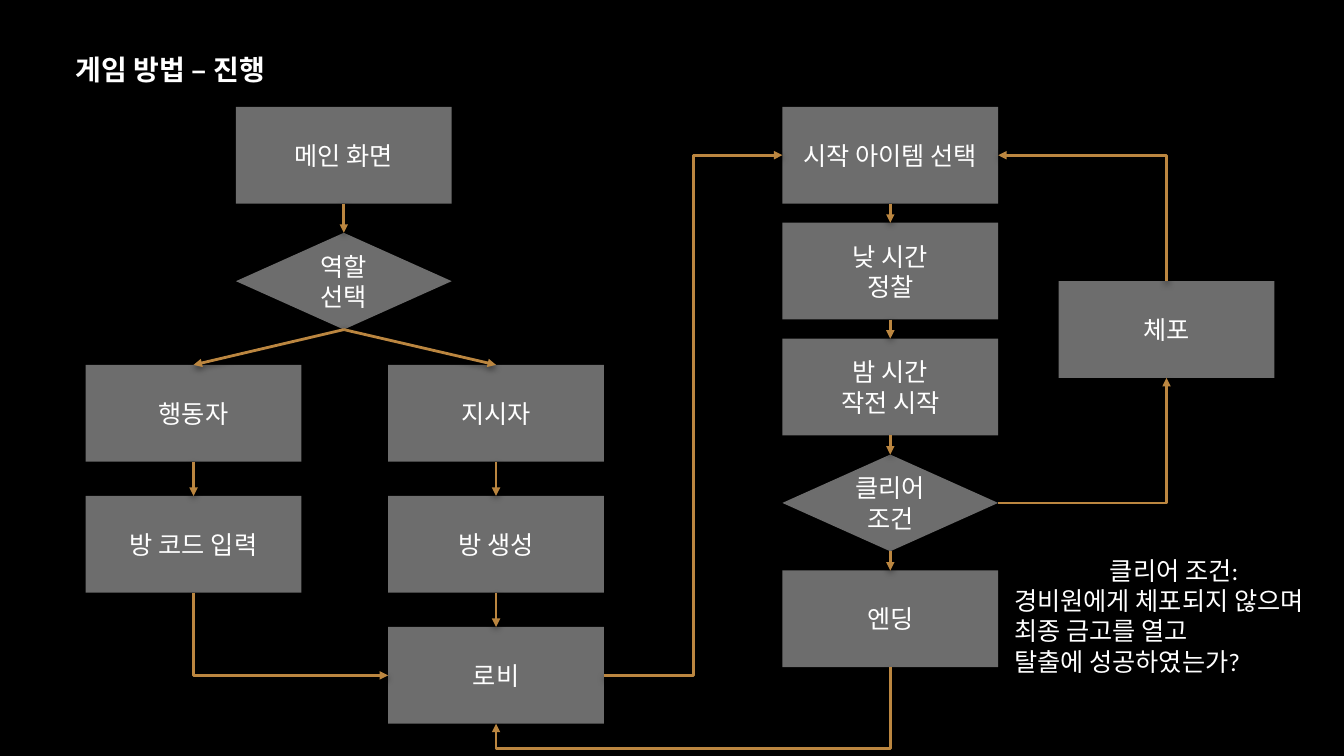
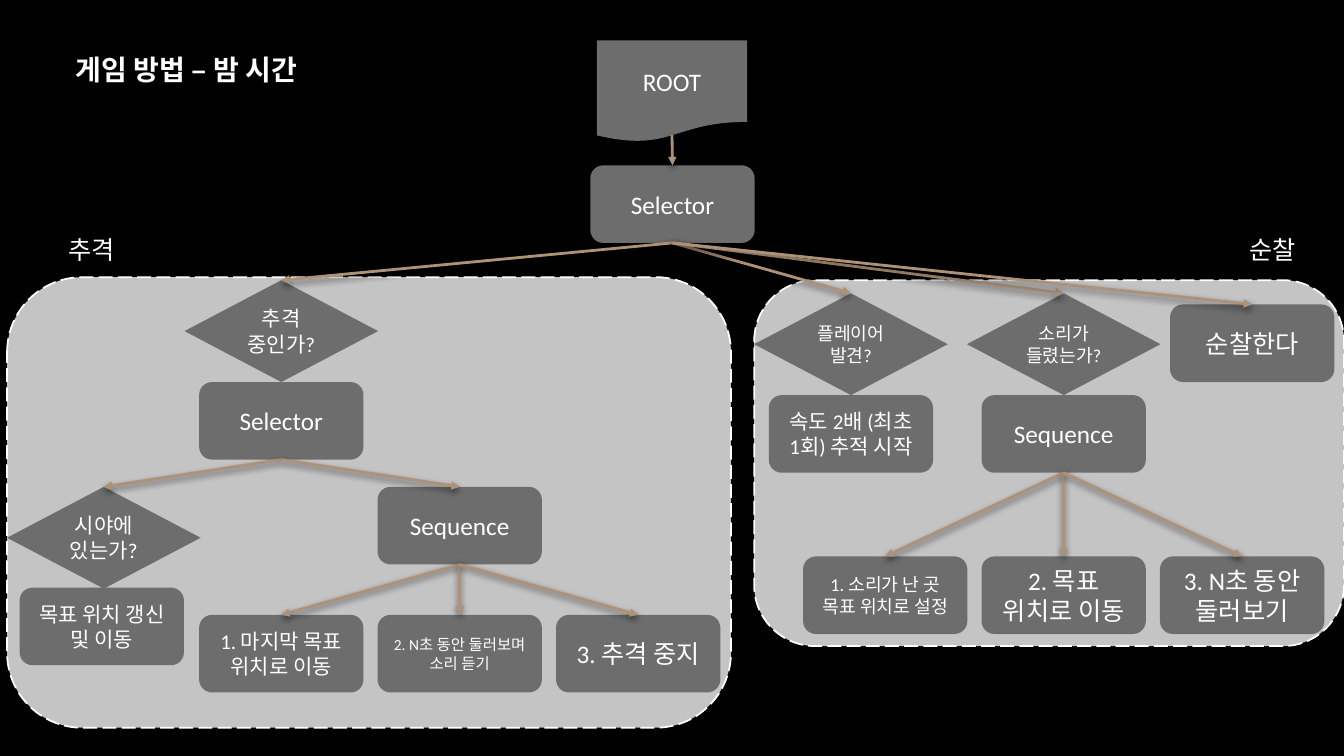
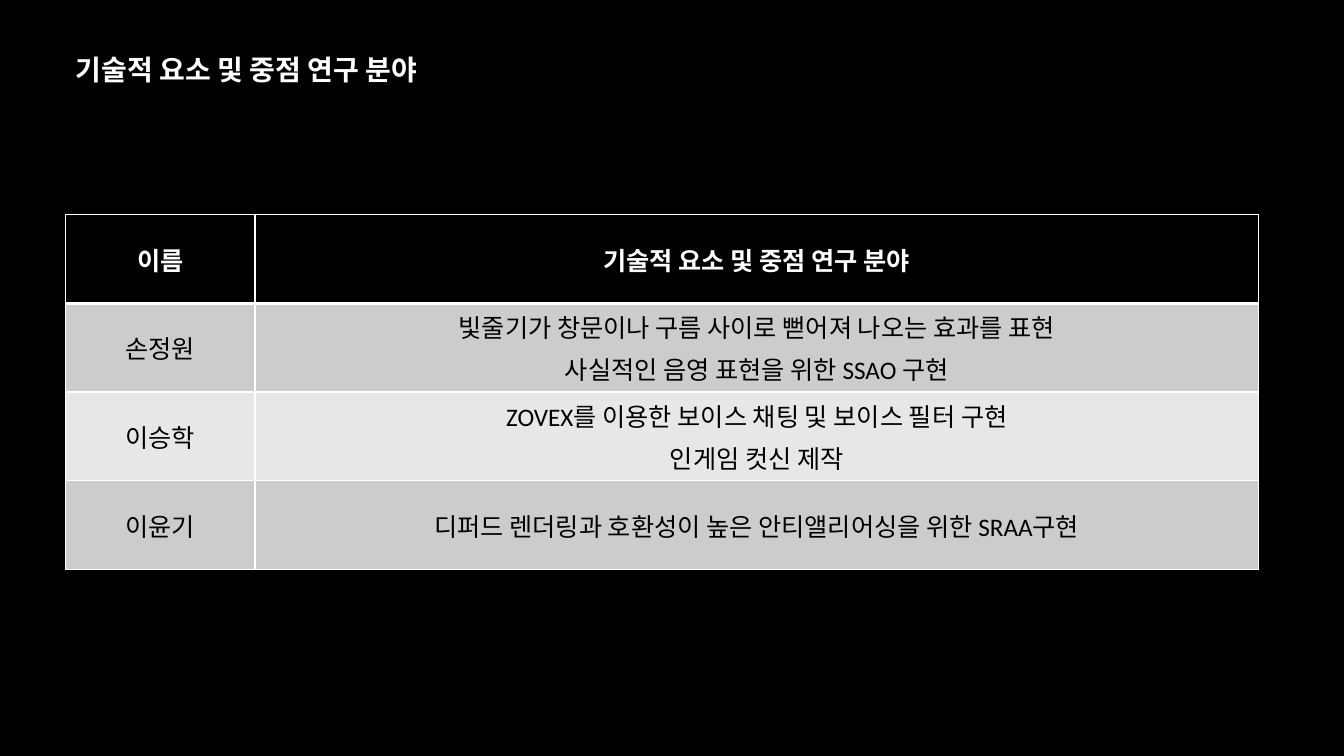
from lxml import etree
from pptx import Presentation
from pptx.dml.color import RGBColor
from pptx.enum import dml, shapes, text
from pptx.oxml import ns, parse_xml
from pptx.util import Inches, Pt

BLACK = RGBColor(0x00, 0x00, 0x00)
WHITE = RGBColor(0xFF, 0xFF, 0xFF)
NODE_GRAY = RGBColor(0x6D, 0x6D, 0x6D)
PANEL_GRAY = RGBColor(0xC4, 0xC4, 0xC4)
ROW_DARK = RGBColor(0xCC, 0xCC, 0xCC)
ROW_LIGHT = RGBColor(0xE7, 0xE7, 0xE7)
GOLD = RGBColor(0xBB, 0x86, 0x40)
TAN = RGBColor(0xAD, 0x92, 0x77)

KIND = shapes.MSO_SHAPE
PROCESS = KIND.FLOWCHART_ALTERNATE_PROCESS
DECISION = KIND.FLOWCHART_DECISION
CENTER = text.PP_ALIGN.CENTER
LEFT = text.PP_ALIGN.LEFT
MIDDLE = text.MSO_ANCHOR.MIDDLE
TOP = text.MSO_ANCHOR.TOP

STEP_SIZE = (2.14, 0.96)
PROCESS_SIZE = (1.63, 0.77)
DECISION_SIZE = (1.92, 1.01)

SHADOW = (
    f'<a:effectLst {ns.nsdecls("a")}>'
    '<a:outerShdw blurRad="63500" dist="25400" dir="5400000" rotWithShape="0">'
    '<a:srgbClr val="000000"><a:alpha val="60000"/></a:srgbClr>'
    '</a:outerShdw></a:effectLst>'
)


def write(frame, content, size=18, color=WHITE, bold=False, font="Calibri",
          align=CENTER, gap=0):
    for index, line in enumerate(content.split("\n")):
        paragraph = frame.paragraphs[0] if index == 0 else frame.add_paragraph()
        paragraph.text = line
        paragraph.alignment = align
        if index and gap:
            paragraph.space_before = Pt(gap)
        paragraph.font.size = Pt(size)
        paragraph.font.name = font
        paragraph.font.bold = bold
        paragraph.font.color.rgb = color


def new_slide(prs, title, title_width):
    slide = prs.slides.add_slide(prs.slide_layouts[5])
    heading = slide.shapes.title
    heading.left, heading.top = Inches(0.65), Inches(0.47)
    heading.width, heading.height = Inches(title_width), Inches(0.44)
    frame = heading.text_frame
    frame.auto_size = text.MSO_AUTO_SIZE.NONE
    frame.vertical_anchor = TOP
    write(frame, title, size=20, bold=True, font="Arial", align=LEFT)
    return slide


def add_box(slide, kind, left, top, size, fill):
    box = slide.shapes.add_shape(kind, Inches(left), Inches(top), *map(Inches, size))
    box.shadow.inherit = False
    box.fill.solid()
    box.fill.fore_color.rgb = fill
    box.line.fill.background()
    return box


def add_node(slide, kind, left, top, size, label, points=18):
    node = add_box(slide, kind, left, top, size, NODE_GRAY)
    node.text_frame.vertical_anchor = MIDDLE
    write(node.text_frame, label, size=points)
    return node


def add_note(slide, left, top, width, height, content):
    note = slide.shapes.add_textbox(*map(Inches, (left, top, width, height)))
    note.text_frame.word_wrap = True
    write(note.text_frame, content)
    return note


def style_arrow(arrow, color):
    arrow.line.color.rgb = color
    arrow.line.width = Pt(2)
    tail = etree.SubElement(arrow.line._get_or_add_ln(), ns.qn("a:tailEnd"))
    tail.set("type", "triangle")
    arrow._element.spPr.append(parse_xml(SHADOW))


def add_arrow(slide, source, target, color):
    arrow = slide.shapes.add_connector(shapes.MSO_CONNECTOR.STRAIGHT, 0, 0, 0, 0)
    arrow.begin_connect(source, 2)
    arrow.end_connect(target, 0)
    style_arrow(arrow, color)
    return arrow


def side(shape, name):
    across, down = {"top": (0.5, 0), "left": (0, 0.5),
                    "bottom": (0.5, 1), "right": (1, 0.5)}[name]
    return shape.left + shape.width * across, shape.top + shape.height * down


def add_elbow(slide, start, end, turn=0, flip="", bends=1, adjust=None):
    width, height = abs(end[0] - start[0]), abs(end[1] - start[1])
    if turn in (90, 270):
        width, height = height, width
    center_x, center_y = (start[0] + end[0]) / 2, (start[1] + end[1]) / 2
    reach_x = width / 2 * (-1 if flip == "h" else 1)
    reach_y = height / 2 * (-1 if flip == "v" else 1)
    corners = (center_x - reach_x, center_y - reach_y,
               center_x + reach_x, center_y + reach_y)
    elbow = slide.shapes.add_connector(shapes.MSO_CONNECTOR.ELBOW, *map(int, corners))
    properties = elbow._element.spPr
    properties.find(ns.qn("a:xfrm")).set("rot", str(turn * 60000))
    geometry = properties.find(ns.qn("a:prstGeom"))
    geometry.set("prst", f"bentConnector{bends + 1}")
    if adjust is not None:
        guide = etree.SubElement(geometry.find(ns.qn("a:avLst")), ns.qn("a:gd"))
        guide.set("name", "adj1")
        guide.set("fmla", f"val {round(adjust * 100000)}")
    style_arrow(elbow, GOLD)


def lobby_flow(slide, left, top):
    def step(label, x, y, kind=KIND.RECTANGLE):
        return add_node(slide, kind, left + x, top + y, STEP_SIZE, label)

    main_screen = step("메인 화면", 1.49, 0)
    role_choice = step("역할 선택", 1.49, 1.25, KIND.DIAMOND)
    actor, director = step("행동자", 0, 2.56), step("지시자", 3, 2.56)
    room_code, room = step("방 코드 입력", 0, 3.86), step("방 생성", 3, 3.86)
    lobby = step("로비", 3, 5.16)
    for source, target in ((main_screen, role_choice), (role_choice, director),
                           (role_choice, actor), (director, room),
                           (actor, room_code), (room, lobby)):
        add_arrow(slide, source, target, GOLD)
    add_elbow(slide, side(room_code, "bottom"), side(lobby, "left"), 270, "h")
    return lobby


def mission_flow(slide, left, top):
    stages = []
    for row, label in enumerate(("시작 아이템 선택", "낮 시간\n정찰",
                                 "밤 시간\n작전 시작", "클리어 조건", "엔딩")):
        kind = KIND.DIAMOND if row == 3 else KIND.RECTANGLE
        stages.append(add_node(slide, kind, left, top + row * 1.15, STEP_SIZE, label))
    items, clear_check, ending = stages[0], stages[3], stages[4]
    for source, target in zip(stages, stages[1:]):
        add_arrow(slide, source, target, GOLD)
    arrest = add_node(slide, KIND.RECTANGLE, left + 2.74, top + 1.73, STEP_SIZE, "체포")
    add_elbow(slide, side(clear_check, "right"), side(arrest, "bottom"), 0, "v")
    add_elbow(slide, side(arrest, "top"), side(items, "right"), 270, "v")
    condition = add_note(slide, left + 2.2, top + 4.4, 3.37, 1.31,
                         "클리어 조건:\n경비원에게 체포되지 않으며 최종 금고를 열고\n"
                         "탈출에 성공하였는가?")
    for paragraph in condition.text_frame.paragraphs[1:]:
        paragraph.alignment = LEFT
    return items, ending


def progress_slide(prs):
    slide = new_slide(prs, "게임 방법 – 진행", 2.53)
    lobby = lobby_flow(slide, 0.85, 1.06)
    items, ending = mission_flow(slide, 7.76, 1.06)
    add_elbow(slide, side(lobby, "right"), side(items, "left"), 0, "v", bends=2)
    add_elbow(slide, side(ending, "bottom"), side(lobby, "bottom"), 90,
              bends=2, adjust=1.446)


def add_panel(slide, left, top, width, height):
    panel = add_box(slide, KIND.ROUNDED_RECTANGLE, left, top, (width, height), PANEL_GRAY)
    panel.line.color.rgb = WHITE
    panel.line.width = Pt(1.25)
    panel.line.dash_style = dml.MSO_LINE.LONG_DASH


def tree_node(slide, kind, center, top, label, points=18):
    size = DECISION_SIZE if kind == DECISION else PROCESS_SIZE
    return add_node(slide, kind, center - size[0] / 2, top, size, label, points)


def add_branches(slide, parent, children):
    for child in children:
        add_arrow(slide, parent, child, TAN)


def add_leaves(slide, parent, center, top, leaves):
    nodes = [tree_node(slide, PROCESS, center + 1.77 * offset, top, label, points)
             for offset, (label, points) in zip((-1, 0, 1), leaves)]
    add_branches(slide, parent, nodes)


def chase_tree(slide, left, top, width, height):
    def node(kind, x, y, label, points=18):
        return tree_node(slide, kind, left + x, top + y, label, points)

    add_panel(slide, left, top, width, height)
    add_note(slide, left + 0.13, top - 0.47, 1.41, 0.4, "추격")
    chasing = node(DECISION, 2.72, 0.03, "추격 중인가?", 15)
    selector = node(PROCESS, 2.72, 1.04, "Selector")
    in_sight = node(DECISION, 0.96, 2.08, "시야에 있는가?", 15)
    node(PROCESS, 0.94, 3.08, "목표 위치 갱신 및 이동", 15)
    sequence = node(PROCESS, 4.49, 2.08, "Sequence")
    add_leaves(slide, sequence, left + 4.49, top + 3.35,
               (("1. 마지막 목표 위치로 이동", 15),
                ("2. N초 동안 둘러보며 소리 듣기", 11),
                ("3. 추격 중지", 18)))
    add_branches(slide, selector, (in_sight, sequence))
    return [chasing]


def patrol_tree(slide, left, top, width, height):
    def node(kind, x, y, label, points=18):
        return tree_node(slide, kind, left + x, top + y, label, points)

    add_panel(slide, left, top, width, height)
    add_note(slide, left + 4.44, top - 0.5, 1.41, 0.4, "순찰")
    player_found = node(DECISION, 0.96, 0.13, "플레이어 발견?", 13)
    sound_heard = node(DECISION, 3.07, 0.13, "소리가 들렸는가?", 13)
    patrol = node(PROCESS, 4.94, 0.24, "순찰한다")
    node(PROCESS, 0.96, 1.14, "속도 2배 (최초 1회) 추적 시작", 15)
    sequence = node(PROCESS, 3.07, 1.14, "Sequence")
    add_leaves(slide, sequence, left + 3.07, top + 2.74,
               (("1. 소리가 난 곳 목표 위치로 설정", 13),
                ("2. 목표 위치로 이동", 18),
                ("3. N초 동안 둘러보기", 18)))
    return [player_found, sound_heard, patrol]


def night_slide(prs):
    slide = new_slide(prs, "게임 방법 – 밤 시간", 3.24)
    root = add_node(slide, KIND.FLOWCHART_DOCUMENT, 5.92, 0.4, (1.49, 1.01), "ROOT")
    selector = tree_node(slide, PROCESS, 6.67, 1.64, "Selector")
    root_arrow = add_arrow(slide, root, selector, TAN)
    root_arrow.begin_y = Inches(1.34)
    branches = chase_tree(slide, 0.07, 2.75, 7.18, 4.47)
    branches += patrol_tree(slide, 7.48, 2.78, 5.85, 3.63)
    add_branches(slide, selector, branches)


def set_borders(cell, widths):
    properties = cell._tc.get_or_add_tcPr()
    for edge, width in widths.items():
        line = etree.SubElement(properties, ns.qn(f"a:ln{edge}"), w=str(Pt(width)))
        fill = etree.SubElement(line, ns.qn("a:solidFill"))
        etree.SubElement(fill, ns.qn("a:srgbClr"), val=str(WHITE))


def research_table(slide, left, top, width, height, rows):
    table = slide.shapes.add_table(
        len(rows), 2, *map(Inches, (left, top, width, height))).table
    name_width = 1.88
    table.columns[0].width = Inches(name_width)
    table.columns[1].width = Inches(width - name_width)
    for row, contents in enumerate(rows):
        header = row == 0
        fill = BLACK if header else (ROW_LIGHT, ROW_DARK)[row % 2]
        for column, content in enumerate(contents):
            cell = table.cell(row, column)
            set_borders(cell, {"L": 1, "R": 1, "T": 3 if row == 1 else 1,
                               "B": 3 if header else 1})
            cell.fill.solid()
            cell.fill.fore_color.rgb = fill
            cell.vertical_anchor = MIDDLE
            write(cell.text_frame, content, color=WHITE if header else BLACK,
                  bold=header, gap=4)


def research_slide(prs):
    topic = "기술적 요소 및 중점 연구 분야"
    slide = new_slide(prs, topic, 4.16)
    research_table(slide, 0.65, 2.13, 11.83, 3.52, (
        ("이름", topic),
        ("손정원", "빛줄기가 창문이나 구름 사이로 뻗어져 나오는 효과를 표현\n"
                "사실적인 음영 표현을 위한 SSAO 구현"),
        ("이승학", "ZOVEX를 이용한 보이스 채팅 및 보이스 필터 구현\n인게임 컷신 제작"),
        ("이윤기", "디퍼드 렌더링과 호환성이 높은 안티앨리어싱을 위한 SRAA구현"),
    ))


def main():
    prs = Presentation()
    prs.slide_width, prs.slide_height = Inches(13.33), Inches(7.5)
    backdrop = prs.slide_master.background.fill
    backdrop.solid()
    backdrop.fore_color.rgb = BLACK
    progress_slide(prs)
    night_slide(prs)
    research_slide(prs)
    prs.save("out.pptx")


if __name__ == "__main__":
    main()
